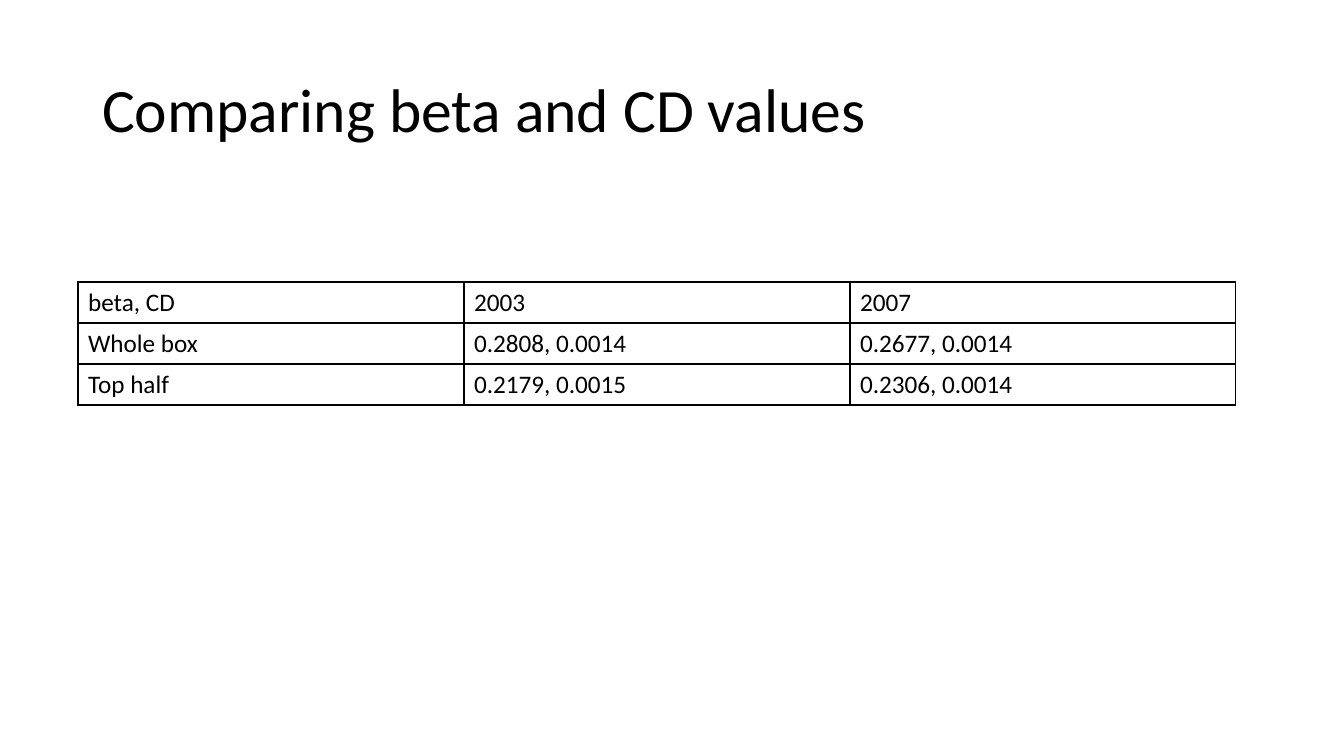
from lxml.etree import SubElement
from pptx import Presentation
from pptx.dml.color import RGBColor
from pptx.enum.text import MSO_ANCHOR, PP_ALIGN
from pptx.oxml.ns import qn
from pptx.util import Emu, Pt

TITLE = "Comparing beta and CD values"
ROWS = [
    ("beta, CD", "2003", "2007"),
    ("Whole box", "0.2808, 0.0014", "0.2677, 0.0014"),
    ("Top half", "0.2179, 0.0015", "0.2306, 0.0014"),
]

COLORS = {"text": "000000", "border": "000000", "cell": "FFFFFF"}
FONT = "Calibri"
SLIDE_W, SLIDE_H = 1344, 756
TITLE_BOX = (92, 40, 1159, 146)
TABLE_X, TABLE_Y = 78, 282
COL_W, ROW_H = 386, 41


def px(n):
    """Convert pixels, 100.8 to the inch, to EMU."""
    return Emu(round(n * 914400 / 100.8))


def add_text(p, text, size):
    r = p.add_run()
    r.text = text
    r.font.name = FONT
    r.font.size = Pt(size)
    r.font.bold = False
    r.font.color.rgb = RGBColor.from_string(COLORS["text"])


def add_borders(cell):
    tc_pr = cell._tc.get_or_add_tcPr()
    for i, side in enumerate("LRTB"):
        ln = SubElement(tc_pr, qn(f"a:ln{side}"), w=str(Pt(1)))
        fill = SubElement(ln, qn("a:solidFill"))
        SubElement(fill, qn("a:srgbClr"), val=COLORS["border"])
        tc_pr.insert(i, ln)  # borders must come before the cell fill


def add_title(slide):
    title = slide.shapes.title
    title.left, title.top, title.width, title.height = map(px, TITLE_BOX)
    tf = title.text_frame
    tf.word_wrap = True
    tf.vertical_anchor = MSO_ANCHOR.MIDDLE
    p = tf.paragraphs[0]
    p.alignment = PP_ALIGN.LEFT
    p.line_spacing = 0.9
    add_text(p, TITLE, 44)


def add_value_table(slide):
    n_rows, n_cols = len(ROWS), len(ROWS[0])
    table = slide.shapes.add_table(
        n_rows, n_cols, px(TABLE_X), px(TABLE_Y),
        px(COL_W * n_cols), px(ROW_H * n_rows)).table
    table.first_row = table.horz_banding = False
    for col in table.columns:
        col.width = px(COL_W)
    for row, values in zip(table.rows, ROWS):
        row.height = px(ROW_H)
        for cell, value in zip(row.cells, values):
            cell.fill.solid()
            cell.fill.fore_color.rgb = RGBColor.from_string(COLORS["cell"])
            add_borders(cell)
            add_text(cell.text_frame.paragraphs[0], value, 18)


def main():
    prs = Presentation()
    prs.slide_width, prs.slide_height = px(SLIDE_W), px(SLIDE_H)
    slide = prs.slides.add_slide(prs.slide_layouts[5])
    add_title(slide)
    add_value_table(slide)
    prs.save("out.pptx")


if __name__ == "__main__":
    main()
